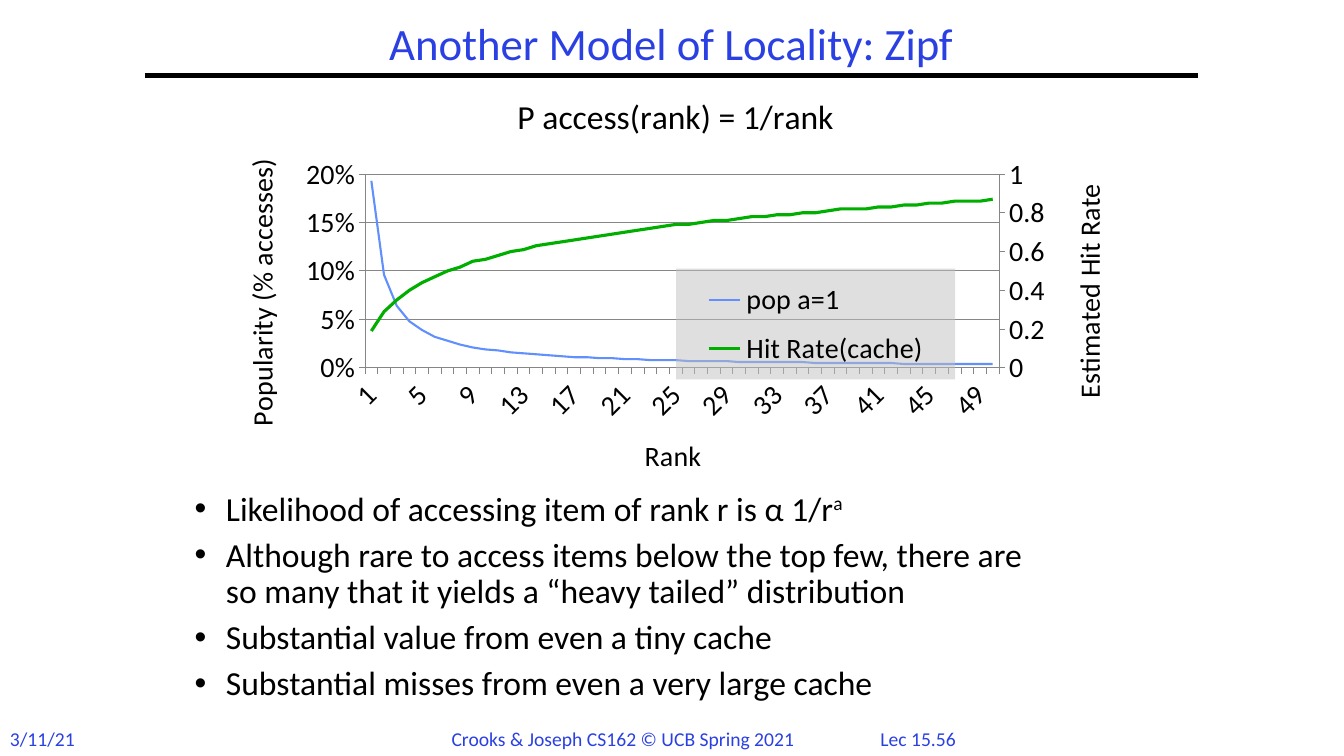
from copy import deepcopy

from lxml.etree import SubElement
from pptx import Presentation
from pptx.chart.axis import ValueAxis
from pptx.chart.data import CategoryChartData
from pptx.dml.color import RGBColor
from pptx.enum.chart import XL_CHART_TYPE, XL_LEGEND_POSITION, XL_TICK_MARK
from pptx.enum.shapes import MSO_CONNECTOR
from pptx.enum.text import MSO_ANCHOR, MSO_AUTO_SIZE, PP_ALIGN
from pptx.oxml import parse_xml
from pptx.oxml.ns import nsdecls, qn
from pptx.util import Cm, Pt

COLORS = {"heading": "2A40E2", "text": "000000", "popularity": "618FFD",
          "hits": "00AE00", "axis": "868686", "legend": "C0C0C0"}
FONT = "Calibri"

TITLE = "Another Model of Locality: Zipf"
# (text, superscript after it)
BULLETS = [
    ("Likelihood of accessing item of rank r is α 1/r", "a"),
    ("Although rare to access items below the top few, there are\v"
     "so many that it yields a “heavy tailed” distribution", ""),
    ("Substantial value from even a tiny cache", ""),
    ("Substantial misses from even a very large cache", ""),
]
# (text, left, width, alignment), lengths in cm
FOOTERS = [
    ("3/11/21", 0, 2.6, PP_ALIGN.LEFT),
    ("Crooks & Joseph CS162 © UCB Spring 2021", 11.13, 9.55, PP_ALIGN.LEFT),
    ("Lec 15.56", 21.59, 3.1, PP_ALIGN.CENTER),
]
CHART_TITLE = "P access(rank) = 1/rank"
POPULARITY = [
    0.193, 0.096, 0.064, 0.048, 0.039, 0.032, 0.028, 0.024, 0.021, 0.019,
    0.018, 0.016, 0.015, 0.014, 0.013, 0.012, 0.011, 0.011, 0.01, 0.01,
    0.009, 0.009, 0.008, 0.008, 0.008, 0.007, 0.007, 0.007, 0.007, 0.006,
    0.006, 0.006, 0.006, 0.006, 0.006, 0.005, 0.005, 0.005, 0.005, 0.005,
    0.005, 0.005, 0.004, 0.004, 0.004, 0.004, 0.004, 0.004, 0.004, 0.004]
HIT_RATE = [
    0.19, 0.29, 0.35, 0.4, 0.44, 0.47, 0.5, 0.52, 0.55, 0.56,
    0.58, 0.6, 0.61, 0.63, 0.64, 0.65, 0.66, 0.67, 0.68, 0.69,
    0.7, 0.71, 0.72, 0.73, 0.74, 0.74, 0.75, 0.76, 0.76, 0.77,
    0.78, 0.78, 0.79, 0.79, 0.8, 0.8, 0.81, 0.82, 0.82, 0.82,
    0.83, 0.83, 0.84, 0.84, 0.85, 0.85, 0.86, 0.86, 0.86, 0.87]


def style_font(font, size, color="text"):
    formats = {"name": FONT, "size": Pt(size), "bold": False}
    for attribute, value in formats.items():
        setattr(font, attribute, value)
    font.color.rgb = RGBColor.from_string(COLORS[color])


def style_line(line, color, width):
    line.color.rgb = RGBColor.from_string(COLORS[color])
    line.width = Pt(width)


def move(shape, *box):
    for side, length in zip(("left", "top", "width", "height"), box):
        setattr(shape, side, Cm(length))


def set_layout(element, **fractions):
    """Place a chart part by fractions of the chart's size."""
    for old in element.findall(qn("c:layout")):
        element.remove(old)
    layout = parse_xml(f"<c:layout {nsdecls('c')}><c:manualLayout/></c:layout>")
    settings = {"xMode": "edge", "yMode": "edge", **fractions}
    if element.tag == qn("c:plotArea"):
        settings = {"layoutTarget": "inner", **settings}
    for name, value in settings.items():
        SubElement(layout[0], qn(f"c:{name}")).set("val", str(value))
    overlay = element.find(qn("c:overlay"))
    if overlay is None:
        element.insert(0, layout)
    else:
        overlay.addprevious(layout)


def set_title(owner, text, size, x, y, rotation=None):
    """Title a chart or an axis."""
    title = (owner.axis_title if hasattr(owner, "axis_title")
             else owner.chart_title)
    frame = title.text_frame
    frame.text = text
    style_font(frame.paragraphs[0].runs[0].font, size)
    if rotation:
        body = frame._txBody.find(qn("a:bodyPr"))
        body.set("rot", str(rotation * 60000))
        body.set("vert", "horz")
    set_layout(title._element, x=x, y=y)


def style_axis(axis, formats):
    for attribute, value in formats.items():
        setattr(axis, attribute, value)
    axis.major_tick_mark = XL_TICK_MARK.OUTSIDE
    axis.minor_tick_mark = XL_TICK_MARK.NONE
    style_font(axis.tick_labels.font, 20)
    style_line(axis.format.line, "axis", 0.75)


def add_right_axis(chart):
    """Move the second series to its own axes and return the value axis."""
    area = chart._chartSpace.chart.plotArea
    left_lines = area.find(qn("c:lineChart"))
    right_lines = deepcopy(left_lines)
    left_lines.remove(left_lines.findall(qn("c:ser"))[1])
    right_lines.remove(right_lines.findall(qn("c:ser"))[0])
    left_lines.addnext(right_lines)

    ranks = deepcopy(area.find(qn("c:catAx")))
    rates = deepcopy(area.find(qn("c:valAx")))
    area.find(qn("c:valAx")).addnext(rates)
    rates.addnext(ranks)
    for axis, own, other in ((ranks, "501", "502"), (rates, "502", "501")):
        axis.find(qn("c:axId")).set("val", own)
        axis.find(qn("c:crossAx")).set("val", other)
    for link, own in zip(right_lines.findall(qn("c:axId")), ("501", "502")):
        link.set("val", own)
    ranks.find(qn("c:delete")).set("val", "1")
    rates.find(qn("c:axPos")).set("val", "r")
    rates.find(qn("c:crosses")).set("val", "max")
    return ValueAxis(rates)


def add_zipf_chart(slide):
    data = CategoryChartData()
    data.categories = [str(rank) for rank in range(1, len(POPULARITY) + 1)]
    data.add_series("pop a=1", POPULARITY, "0%")
    data.add_series("Hit Rate(cache)", HIT_RATE, "General")
    chart = slide.shapes.add_chart(XL_CHART_TYPE.LINE, Cm(5.51), Cm(1.83),
                                   Cm(23.06), Cm(10.74), data).chart
    style_font(chart.font, 20)
    set_title(chart, CHART_TITLE, 24, 0.32, 0.035)
    # With two value axes, chart.value_axis would give the right one
    ranks, shares = chart.category_axis, chart.value_axis
    rates = add_right_axis(chart)

    style_axis(ranks, {"has_major_gridlines": False})
    style_axis(shares, {"minimum_scale": 0, "maximum_scale": 0.2,
                        "major_unit": 0.05, "has_major_gridlines": True})
    style_axis(rates, {"minimum_scale": 0, "maximum_scale": 1,
                       "major_unit": 0.2, "has_major_gridlines": False})
    style_line(shares.major_gridlines.format.line, "axis", 0.75)
    for axis, number_format in ((shares, "0%"), (rates, "General")):
        axis.tick_labels.number_format = number_format
        axis.tick_labels.number_format_is_linked = False
    set_title(ranks, "Rank", 20, 0.46, 0.84)
    set_title(shares, "Popularity (% accesses)", 20, 0.02, 0.19, -90)
    set_title(rates, "Estimated Hit Rate", 20, 0.924, 0.25, -90)
    rank_xml = ranks._element
    rank_xml.find(qn("c:txPr")).find(qn("a:bodyPr")).set("rot", "-2700000")
    rank_xml.find(qn("c:noMultiLvlLbl")).addprevious(
        parse_xml(f'<c:tickLblSkip {nsdecls("c")} val="4"/>'))
    set_layout(chart._chartSpace.chart.plotArea, x=0.16, y=0.238, w=0.693, h=0.455)

    for plot, color, width in zip(chart.plots, ("popularity", "hits"), (1.5, 2.25)):
        plot.vary_by_categories = False
        plot.series[0].smooth = False
        style_line(plot.series[0].format.line, color, width)

    chart.has_legend = True
    legend = chart.legend
    legend.position = XL_LEGEND_POSITION.RIGHT
    legend.include_in_layout = True
    style_font(legend.font, 20)
    set_layout(legend._element, x=0.5, y=0.46, w=0.305, h=0.26)
    legend._element.find(qn("c:overlay")).addnext(parse_xml(
        f'<c:spPr {nsdecls("c", "a")}><a:solidFill><a:srgbClr val="{COLORS["legend"]}">'
        '<a:alpha val="50000"/></a:srgbClr></a:solidFill></c:spPr>'))


def add_bullet(paragraph, text, superscript, space_before):
    properties = paragraph._p.get_or_add_pPr()
    properties.set("marL", str(Cm(0.79)))
    properties.set("indent", str(-Cm(0.79)))
    SubElement(properties, qn("a:buFont")).set("typeface", "Arial")
    SubElement(properties, qn("a:buChar")).set("char", "•")
    paragraph.text = text
    if superscript:
        raised = paragraph.add_run()
        raised.text = superscript
        raised.font._element.set("baseline", "30000")
    paragraph.line_spacing = 0.9
    paragraph.space_before = Pt(space_before)
    for run in paragraph.runs:
        style_font(run.font, 24)


def main():
    deck = Presentation()
    deck.slide_width, deck.slide_height = Cm(33.87), Cm(19.05)
    slide = deck.slides.add_slide(deck.slide_layouts[1])
    title, body = slide.placeholders

    rule = slide.shapes.add_connector(MSO_CONNECTOR.STRAIGHT, Cm(3.66), Cm(1.9),
                                      Cm(30.2), Cm(1.9))
    style_line(rule.line, "text", 3)
    SubElement(rule._element.spPr, qn("a:effectLst"))

    for text, left, width, alignment in FOOTERS:
        footer = slide.shapes.add_textbox(Cm(left), Cm(18.19), Cm(width), Cm(0.86))
        footer.text_frame.word_wrap = True
        paragraph = footer.text_frame.paragraphs[0]
        paragraph.text, paragraph.alignment = text, alignment
        style_font(paragraph.runs[0].font, 14, "heading")

    move(title, 3.66, 0.43, 26.52, 1.47)
    title.text_frame.text = TITLE
    title.text_frame.vertical_anchor = MSO_ANCHOR.MIDDLE
    heading = title.text_frame.paragraphs[0]
    heading.alignment, heading.line_spacing = PP_ALIGN.CENTER, 0.9
    style_font(heading.runs[0].font, 32, "heading")

    move(body, 4.65, 12.27, 25.2, 4.72)
    frame = body.text_frame
    for index, (text, superscript) in enumerate(BULLETS):
        paragraph = frame.add_paragraph() if index else frame.paragraphs[0]
        add_bullet(paragraph, text, superscript, 7 if index else 0)
    for placeholder in (title, body):
        placeholder.text_frame.auto_size = MSO_AUTO_SIZE.NONE

    add_zipf_chart(slide)
    deck.save("out.pptx")


if __name__ == "__main__":
    main()
